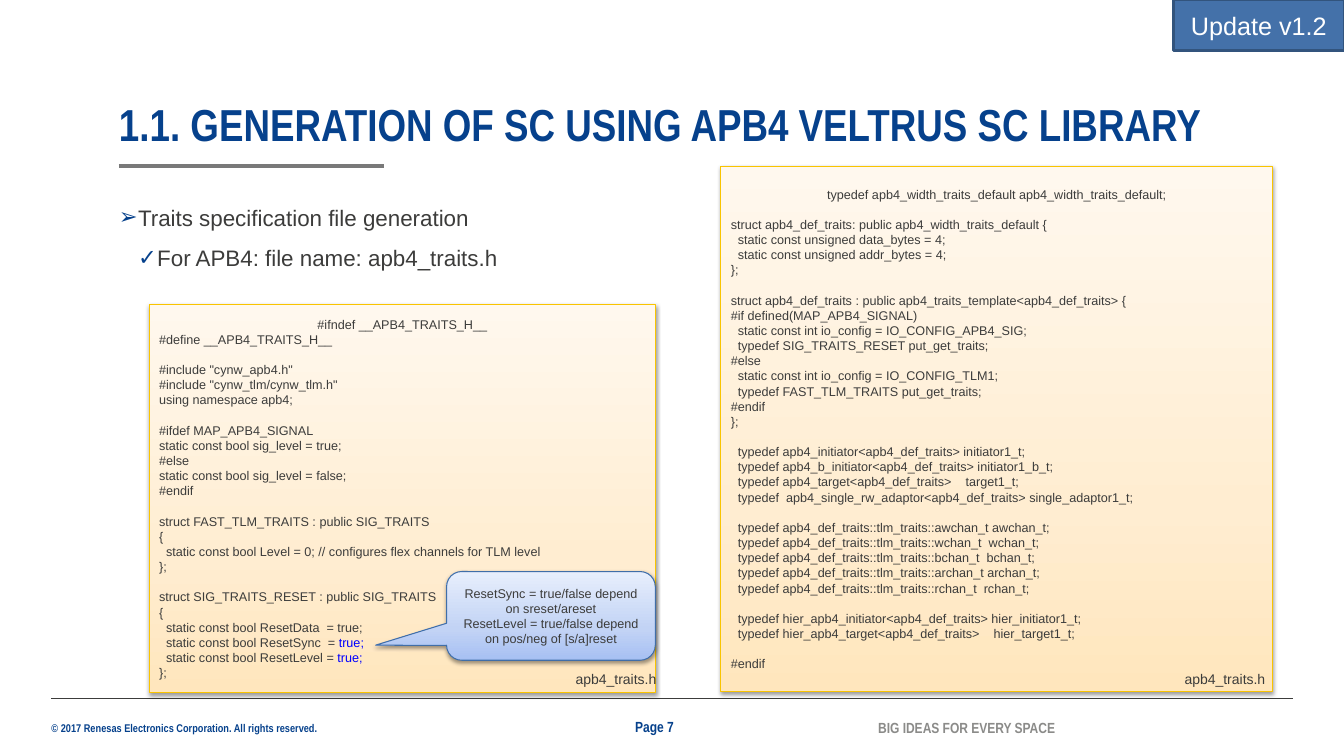
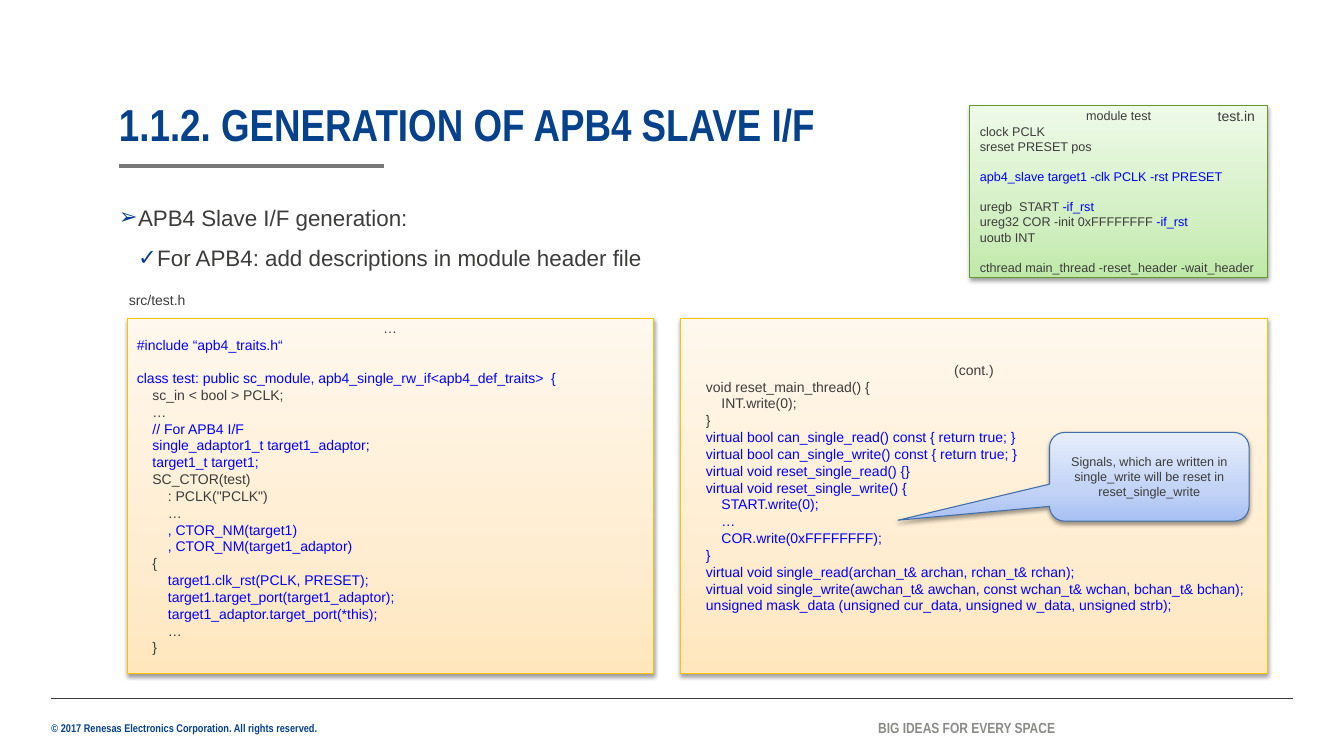
from collections import namedtuple

from lxml.etree import SubElement
from pptx import Presentation
from pptx.dml.color import RGBColor
from pptx.enum.shapes import MSO_CONNECTOR, MSO_SHAPE
from pptx.enum.text import MSO_ANCHOR, MSO_AUTO_SIZE, PP_ALIGN
from pptx.oxml.ns import qn
from pptx.util import Inches, Pt

WIDTH, HEIGHT = Inches(13.33), Inches(7.5)
BODY_FONT, TITLE_FONT = "Arial", "Arial Narrow"
COLORS = {
    "text": "3C3C3B", "brand": "06418C", "code": "0000FF", "rule": "797979",
    "slogan": "8B8B89", "white": "FFFFFF", "badge": "4471A9", "badge_edge": "32547D",
}
# Gradient stops run from the bottom up; the last colour is the border
SKINS = {
    "cream": ("FFE6BD", "FFEDD1", "FFF8EE", "F9C400"),
    "green": ("C0E9A9", "D3EFC4", "EEFAE8", "64982F"),
    "blue": ("A7C0F3", "C2D3F5", "E7EEFC", "406EA8"),
}
STOPS = (0, 35000, 100000)
LINE_RATIO = 1.2  # height of a text line relative to its font size
BULLETS = "➢✓"
INDENT = Inches(0.19)
BLUE_MARK = "|"  # switches the code colour on and off

# A box in percent of the slide's width and height
Box = namedtuple("Box", "left top width height")

TRAITS_TOP = """\
#ifndef __APB4_TRAITS_H__
#define __APB4_TRAITS_H__

#include "cynw_apb4.h"
#include "cynw_tlm/cynw_tlm.h"
using namespace apb4;

#ifdef MAP_APB4_SIGNAL
static const bool sig_level = true;
#else
static const bool sig_level = false;
#endif

struct FAST_TLM_TRAITS : public SIG_TRAITS
{
  static const bool Level = 0; // configures flex channels for TLM level
};

struct SIG_TRAITS_RESET : public SIG_TRAITS
{
  static const bool ResetData  = true;
  static const bool ResetSync  = |true;|
  static const bool ResetLevel = |true;|
};"""

TRAITS_STRUCTS = """\
typedef apb4_width_traits_default apb4_width_traits_default;

struct apb4_def_traits: public apb4_width_traits_default {
  static const unsigned data_bytes = 4;
  static const unsigned addr_bytes = 4;
};

struct apb4_def_traits : public apb4_traits_template<apb4_def_traits> {
#if defined(MAP_APB4_SIGNAL)
  static const int io_config = IO_CONFIG_APB4_SIG;
  typedef SIG_TRAITS_RESET put_get_traits;
#else
  static const int io_config = IO_CONFIG_TLM1;
  typedef FAST_TLM_TRAITS put_get_traits;
#endif
};

"""

TRAITS_TYPES = """\
  typedef apb4_initiator<apb4_def_traits> initiator1_t;
  typedef apb4_b_initiator<apb4_def_traits> initiator1_b_t;
  typedef apb4_target<apb4_def_traits>    target1_t;
  typedef  apb4_single_rw_adaptor<apb4_def_traits> single_adaptor1_t;

  typedef apb4_def_traits::tlm_traits::awchan_t awchan_t;
  typedef apb4_def_traits::tlm_traits::wchan_t  wchan_t;
  typedef apb4_def_traits::tlm_traits::bchan_t  bchan_t;
  typedef apb4_def_traits::tlm_traits::archan_t archan_t;
  typedef apb4_def_traits::tlm_traits::rchan_t  rchan_t;

  typedef hier_apb4_initiator<apb4_def_traits> hier_initiator1_t;
  typedef hier_apb4_target<apb4_def_traits>    hier_target1_t;

#endif"""

TEST_INPUT = """\
module test
clock PCLK
sreset PRESET pos

|apb4_slave target1 -clk PCLK -rst PRESET|

uregb  START |-if_rst|
ureg32 COR -init 0xFFFFFFFF| -if_rst|
uoutb INT

cthread main_thread -reset_header -wait_header"""

HEADER_TOP = """\
…
|#include “apb4_traits.h“

class test: public sc_module, apb4_single_rw_if<apb4_def_traits>  {|
    sc_in < bool > PCLK;
    …
|    // For APB4 I/F
    single_adaptor1_t target1_adaptor;
    target1_t target1;|
    SC_CTOR(test)
        : PCLK("PCLK")
        …
|        , CTOR_NM(target1)
        , CTOR_NM(target1_adaptor)|
    {
|        target1.clk_rst(PCLK, PRESET);
        target1.target_port(target1_adaptor);
        target1_adaptor.target_port(*this);|
        …
    }"""

HEADER_END = """\
(cont.)
    void reset_main_thread() {
        INT.write(0);
    }
|    virtual bool can_single_read() const { return true; }
    virtual bool can_single_write() const { return true; }
    virtual void reset_single_read() {}
    virtual void reset_single_write() {
        START.write(0);
        …
        COR.write(0xFFFFFFFF);
    }
    virtual void single_read(archan_t& archan, rchan_t& rchan);
    virtual void single_write(awchan_t& awchan, const wchan_t& wchan, bchan_t& bchan);
    unsigned mask_data (unsigned cur_data, unsigned w_data, unsigned strb);|"""


def color(name):
    return RGBColor.from_string(COLORS.get(name, name))


def place(box):
    return (int(WIDTH * box.left / 100), int(HEIGHT * box.top / 100),
            int(WIDTH * box.width / 100), int(HEIGHT * box.height / 100))


def add_span(para, text, size, ink="text", font=BODY_FONT, bold=False):
    span = para.add_run()
    span.text = text
    span.font.size, span.font.name, span.font.bold = Pt(size), font, bold
    span.font.color.rgb = color(ink)


def next_para(frame, index):
    return frame.add_paragraph() if index else frame.paragraphs[0]


def set_frame(frame, anchor, wrap=True, flush=False):
    frame.word_wrap, frame.vertical_anchor = wrap, anchor
    frame.auto_size = MSO_AUTO_SIZE.NONE
    if flush:
        frame.margin_left = frame.margin_right = frame.margin_top = frame.margin_bottom = 0


def add_label(page, box, text, size, ink="text", font=BODY_FONT, bold=False,
              anchor=MSO_ANCHOR.TOP, wrap=True, flush=False):
    frame = page.shapes.add_textbox(*place(box)).text_frame
    set_frame(frame, anchor, wrap, flush)
    add_span(frame.paragraphs[0], text, size, ink, font, bold)
    return frame.paragraphs[0]


def add_rule(page, box, ink, weight):
    left, top, width, height = place(box)
    rule = page.shapes.add_connector(MSO_CONNECTOR.STRAIGHT, left, top, left + width, top + height)
    rule.line.color.rgb, rule.line.width = color(ink), Pt(weight)
    SubElement(rule._element.spPr, qn("a:effectLst"))


def add_shape(page, kind, box, edge, weight):
    shape = page.shapes.add_shape(kind, *place(box))
    shape.shadow.inherit = False
    shape.line.color.rgb, shape.line.width = color(edge), Pt(weight)
    set_frame(shape.text_frame, MSO_ANCHOR.MIDDLE)
    return shape


def add_card(page, kind, box, skin):
    """Shape with a three-stop gradient and a soft shadow below."""
    *tones, edge = SKINS[skin]
    card = add_shape(page, kind, box, edge, 0.75)
    card.fill.gradient()
    card.fill.gradient_angle = 90
    properties = card._element.spPr
    stops = properties.find(qn("a:gradFill")).find(qn("a:gsLst"))
    for stop in list(stops):
        stops.remove(stop)
    for position, tone in zip(STOPS, tones):
        stop = SubElement(stops, qn("a:gs"), pos=str(position))
        SubElement(stop, qn("a:srgbClr"), val=tone)
    shadow = SubElement(properties.find(qn("a:effectLst")), qn("a:outerShdw"),
                        blurRad=str(Pt(3.1)), dist=str(Pt(1.6)), dir="5400000", rotWithShape="0")
    shade = SubElement(shadow, qn("a:srgbClr"), val="000000")
    SubElement(shade, qn("a:alpha"), val="38000")
    return card


def add_code(page, box, code, size, skin="cream", spare_lines=0):
    """Code panel; an empty code line becomes space before the next line."""
    frame = add_card(page, MSO_SHAPE.RECTANGLE, box, skin).text_frame
    line_height = Pt(size * LINE_RATIO)
    frame.margin_bottom += spare_lines * line_height
    blue, gap, count = False, 0, 0
    for line in code.split("\n"):
        if not line:
            gap += line_height
            continue
        para = next_para(frame, count)
        count += 1
        if gap:
            para.space_before, gap = gap, 0
        for index, part in enumerate(line.split(BLUE_MARK)):
            blue = blue != (index > 0)
            if part:
                add_span(para, part, size, "code" if blue else "text")


def add_callout(page, box, tip, lines):
    callout = add_card(page, MSO_SHAPE.ROUNDED_RECTANGULAR_CALLOUT, box, "blue")
    for index, value in enumerate((*tip, 0.17)):
        callout.adjustments[index] = value
    for index, line in enumerate(lines):
        para = next_para(callout.text_frame, index)
        para.alignment = PP_ALIGN.CENTER
        add_span(para, line, 9)


def add_badge(page, box, text):
    badge = add_shape(page, MSO_SHAPE.RECTANGLE, box, "badge_edge", 2)
    badge.fill.solid()
    badge.fill.fore_color.rgb = color("badge")
    para = badge.text_frame.paragraphs[0]
    para.alignment = PP_ALIGN.CENTER
    add_span(para, text, 18, "white")


def add_bullets(page, box, lines):
    """One line per outline level."""
    frame = page.shapes.add_textbox(*place(box)).text_frame
    set_frame(frame, MSO_ANCHOR.TOP, flush=True)
    for level, (mark, line) in enumerate(zip(BULLETS, lines)):
        para = next_para(frame, level)
        properties = para._p.get_or_add_pPr()
        properties.set("marL", str(INDENT * (level + 1)))
        properties.set("indent", str(-INDENT))
        SubElement(SubElement(properties, qn("a:buClr")), qn("a:srgbClr"), val=COLORS["brand"])
        SubElement(properties, qn("a:buFont"), typeface=BODY_FONT)
        SubElement(properties, qn("a:buChar"), char=mark)
        para.level, para.line_spacing, para.space_after = level, 1.2, Pt(6)
        add_span(para, line, 16)


def add_page(deck, title, bullets, number=None):
    """Page with title, rules, footer and outline."""
    page = deck.slides.add_slide(deck.slide_layouts[6])
    narrow = {"font": TITLE_FONT, "bold": True, "flush": True}
    # Footer
    add_label(page, Box(3.83, 95.47, 20.1, 1.73),
              "© 2017 Renesas Electronics Corporation. All rights reserved.",
              8, "brand", wrap=False, **narrow)
    add_rule(page, Box(3.83, 92.4, 92.34, 0), "text", 0.5)
    add_label(page, Box(65.34, 95.07, 13.5, 2.4), "BIG IDEAS FOR EVERY SPACE",
              10.5, "slogan", anchor=MSO_ANCHOR.MIDDLE, **narrow)
    if number:
        add_label(page, Box(47.26, 94.93, 5.48, 2.4), f"Page {number}",
                  10.5, "brand", anchor=MSO_ANCHOR.MIDDLE, **narrow)
    # Heading and outline
    add_rule(page, Box(8.85, 22, 19.73, 0), "rule", 3)
    heading = add_label(page, Box(8.85, 13.6, 88.52, 6.4), title,
                        32, "brand", anchor=MSO_ANCHOR.BOTTOM, **narrow)
    heading.line_spacing = 0.9
    add_bullets(page, Box(8.85, 26.27, 88.52, 9.73), bullets)
    return page


def build_traits_page(deck):
    page = add_page(deck, "1.1. GENERATION OF SC USING APB4 VELTRUS SC LIBRARY",
                    ("Traits specification file generation", "For APB4: file name: apb4_traits.h"), 7)
    add_code(page, Box(11.1, 40.27, 37.66, 51.33), TRAITS_TOP, 9)
    add_code(page, Box(53.64, 22, 41.04, 69.47), TRAITS_STRUCTS + TRAITS_TYPES, 9)
    for left in (42.09, 87.4):
        add_label(page, Box(left, 88, 7.95, 3.6), "apb4_traits.h", 10)
    add_badge(page, Box(87.32, 0, 12.68, 6.67), "Update v1.2")
    add_callout(page, Box(33.23, 75.6, 15.53, 11.73), (-0.84, 0.33),
                ("ResetSync = true/false depend on sreset/areset",
                 "ResetLevel = true/false depend on pos/neg of [s/a]reset"))


def build_slave_page(deck):
    page = add_page(deck, "1.1.2. GENERATION OF APB4 SLAVE I/F",
                    ("APB4 Slave I/F generation:", "For APB4: add descriptions in module header file"))
    add_code(page, Box(72.17, 14, 22.13, 22.67), TEST_INPUT, 9, "green")
    add_label(page, Box(89.87, 13.6, 10.13, 3.6), "test.in", 10)
    add_label(page, Box(8.85, 37.87, 11.18, 3.6), "src/test.h", 10)
    add_code(page, Box(9.45, 42.13, 39.16, 46.93), HEADER_TOP, 10, spare_lines=1)
    add_code(page, Box(50.64, 42.13, 43.66, 46.93), HEADER_END, 10, spare_lines=1)
    add_callout(page, Box(78.09, 57.2, 14.85, 11.73), (-1.26, 0.49),
                ("Signals, which are written in single_write will be reset in reset_single_write",))


def main():
    deck = Presentation()
    deck.slide_width, deck.slide_height = WIDTH, HEIGHT
    build_traits_page(deck)
    build_slave_page(deck)
    deck.save("out.pptx")


if __name__ == "__main__":
    main()
